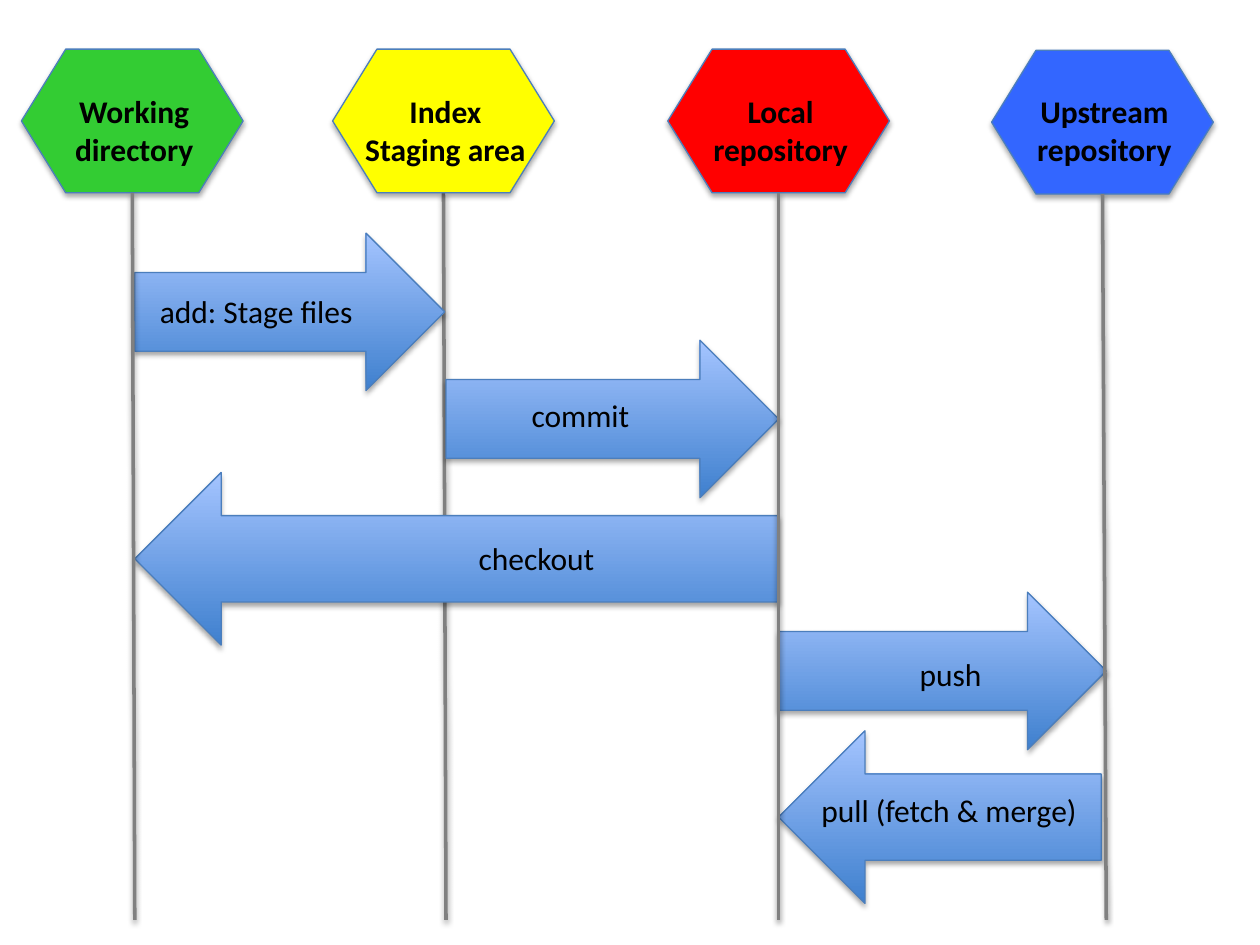
from lxml.etree import SubElement
from pptx import Presentation
from pptx.dml.color import RGBColor
from pptx.enum.shapes import MSO_CONNECTOR, MSO_SHAPE
from pptx.enum.text import MSO_AUTO_SIZE, PP_ALIGN
from pptx.oxml.ns import qn
from pptx.util import Inches, Pt

BLACK = RGBColor(0x00, 0x00, 0x00)
GREY = RGBColor(0x80, 0x80, 0x80)
OUTLINE = RGBColor(0x4B, 0x7E, 0xBC)
ARROW_LOW = RGBColor(0x3F, 0x80, 0xCE)
ARROW_HIGH = RGBColor(0xA4, 0xC4, 0xFF)
GREEN = RGBColor(0x33, 0xCC, 0x33)
YELLOW = RGBColor(0xFF, 0xFF, 0x00)
RED = RGBColor(0xFF, 0x00, 0x00)
BLUE = RGBColor(0x33, 0x66, 0xFF)

COLUMNS, ROWS = 100, 75


class Diagram:
    font = "Calibri"
    size = Pt(18)

    def __init__(self, prs):
        self.slide = prs.slides.add_slide(prs.slide_layouts[6])
        self.shapes = self.slide.shapes
        self.column = prs.slide_width / COLUMNS
        self.row = prs.slide_height / ROWS

    def grid(self, x, y, w, h):
        return (round(x * self.column), round(y * self.row),
                round(w * self.column), round(h * self.row))

    def shadow(self, sp, distance, opacity):
        effects = SubElement(sp._element.spPr, qn("a:effectLst"))
        outer = SubElement(effects, qn("a:outerShdw"), blurRad=str(Pt(3.1)),
                           dist=str(Pt(distance)), dir="5400000", rotWithShape="0")
        color = SubElement(outer, qn("a:srgbClr"), val="000000")
        SubElement(color, qn("a:alpha"), val=str(opacity * 1000))

    def block(self, kind, x, y, w, h):
        sp = self.shapes.add_shape(kind, *self.grid(x, y, w, h))
        sp.line.color.rgb = OUTLINE
        sp.line.width = Pt(0.75)
        self.shadow(sp, 1.8, 35)
        return sp

    def arrow(self, kind, left, right, y, h):
        fill = self.block(kind, left, y, right - left, h).fill
        fill.gradient()
        fill.gradient_angle = 90
        for stop, color in zip(fill.gradient_stops, (ARROW_LOW, ARROW_HIGH)):
            stop.color.rgb = color

    def hexagon(self, x, y, color):
        fill = self.block(MSO_SHAPE.FLOWCHART_PREPARATION, x, y, 17.6, 11.4).fill
        fill.solid()
        fill.fore_color.rgb = color

    def lane(self, x1, y1, x2, y2):
        line = self.shapes.add_connector(
            MSO_CONNECTOR.STRAIGHT, *self.grid(x1, y1, x2, y2))
        line.line.color.rgb = GREY
        line.line.width = Pt(2)
        self.shadow(line, 1.6, 38)

    def label(self, text, x, y, w, h, bold=False, align=PP_ALIGN.LEFT):
        tf = self.shapes.add_textbox(*self.grid(x, y, w, h)).text_frame
        tf.word_wrap = True
        tf.auto_size = MSO_AUTO_SIZE.SHAPE_TO_FIT_TEXT
        tf.text = text
        for p in tf.paragraphs:
            p.alignment = align
            for r in p.runs:
                r.font.name = self.font
                r.font.size = self.size
                r.font.bold = bold
                r.font.color.rgb = BLACK


prs = Presentation()
prs.slide_width, prs.slide_height = Inches(10), Inches(7.5)
s = Diagram(prs)

WORK, INDEX, LOCAL, UPSTREAM = 10.7, 35.4, 61.8, 87.8
LANE_END = 73
RIGHT, LEFT = MSO_SHAPE.RIGHT_ARROW, MSO_SHAPE.LEFT_ARROW

s.lane(35.2, 15.3, INDEX, LANE_END)

for kind, left, right, y, h in (
    (RIGHT, INDEX, LOCAL, 27, 12.5),
    (LEFT, WORK, LOCAL, 37.5, 13.7),
    (RIGHT, LOCAL, UPSTREAM, 47, 12.5),
    (RIGHT, WORK, INDEX - 0.1, 18.5, 12.5),
    (LEFT, LOCAL, UPSTREAM - 0.4, 58, 13.7),
):
    s.arrow(kind, left, right, y, h)

for text, x, y, w in (
    ("add: Stage files", 11.7, 22.7, 19.8),
    ("commit", 41.2, 30.9, 14.2),
    ("push", 72, 51.5, 13.8),
    ("checkout", 37, 42.3, 23.4),
    ("pull (fetch & merge)", 64.2, 62.3, 23.3),
):
    s.label(text, x, y, w, 4)

for text, x, y, color in (
    ("Working directory", 1.7, 3.9, GREEN),
    ("Index\nStaging area", 26.4, 3.9, YELLOW),
    ("Local repository", 53, 3.9, RED),
    ("Upstream repository", 78.7, 4, BLUE),
):
    s.hexagon(x, y, color)
    s.label(text, x + 1.5, 6.8, 14.9, 7.1, bold=True, align=PP_ALIGN.CENTER)

for top_x, top_y, foot_x in (
    (10.5, 15.3, WORK),
    (87.5, 15.4, UPSTREAM),
    (61.8, 15.3, LOCAL),
):
    s.lane(top_x, top_y, foot_x, LANE_END)

prs.save("out.pptx")
